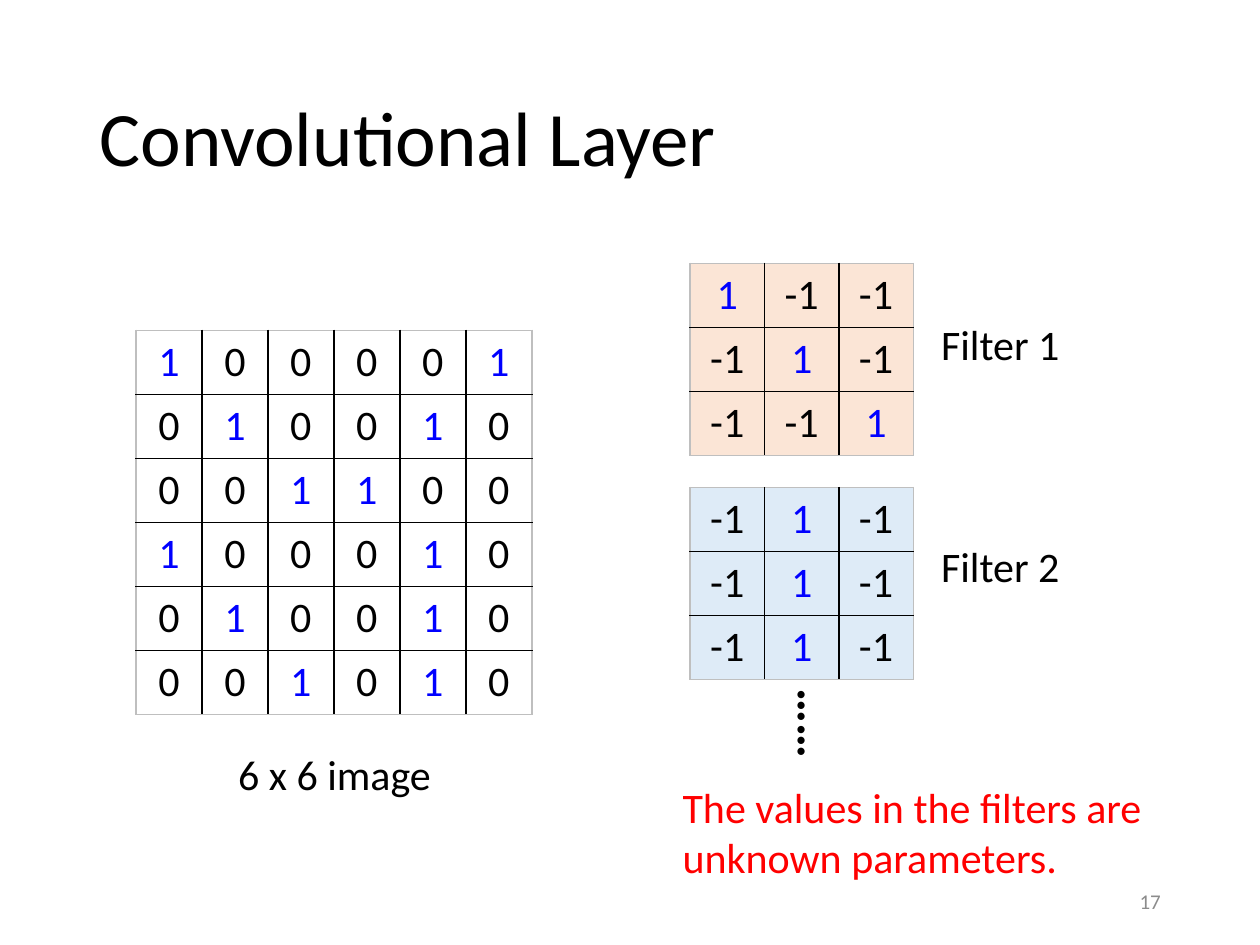
from lxml import etree
from pptx import Presentation
from pptx import util as u
from pptx.dml.color import RGBColor
from pptx.enum import text
from pptx.oxml.ns import qn

BLACK = RGBColor(0, 0, 0)
BLUE = RGBColor(0, 0, 0xFF)
RED = RGBColor(0xFF, 0, 0)
GREY = RGBColor(0x8C, 0x8C, 0x8C)
EDGE = RGBColor(0xBF, 0xBF, 0xBF)
PEACH = RGBColor(0xFB, 0xE5, 0xD6)
PALE_BLUE = RGBColor(0xDE, 0xEB, 0xF7)
LEFT, CENTER, RIGHT = text.PP_ALIGN.LEFT, text.PP_ALIGN.CENTER, text.PP_ALIGN.RIGHT


def write(frame, words, size=24, color=BLACK, align=CENTER, bold=False):
    paragraph = frame.paragraphs[0]
    paragraph.alignment = align
    run = paragraph.add_run()
    run.text = words
    run.font.name = "Calibri"
    run.font.size = u.Pt(size)
    run.font.bold = bold
    run.font.color.rgb = color


def add_matrix(left, top, column_width, values, fill=None):
    """Number grid: black inner lines, grey outer edge, ones in blue."""
    rows, columns = len(values), len(values[0])
    row_height = 1.29
    grid = slide.shapes.add_table(
        rows, columns, u.Cm(left), u.Cm(top),
        u.Cm(column_width * columns), u.Cm(row_height * rows)).table
    grid.first_row = grid.horz_banding = False
    for column in grid.columns:
        column.width = u.Cm(column_width)
    for r, row in enumerate(values):
        grid.rows[r].height = u.Cm(row_height)
        for c, value in enumerate(row):
            cell = grid.cell(r, c)
            write(cell.text_frame, str(value), color=BLUE if value == 1 else BLACK)
            outer = {"L": c == 0, "R": c == columns - 1, "T": r == 0, "B": r == rows - 1}
            for side, on_edge in outer.items():
                line = etree.SubElement(cell._tc.get_or_add_tcPr(), qn("a:ln" + side), w="12700")
                paint = etree.SubElement(line, qn("a:solidFill"))
                etree.SubElement(paint, qn("a:srgbClr"), val=str(EDGE if on_edge else BLACK))
            if fill is None:
                cell.fill.background()
            else:
                cell.fill.solid()
                cell.fill.fore_color.rgb = fill


prs = Presentation()
prs.slide_width, prs.slide_height = u.Cm(25.4), u.Cm(19.05)
slide = prs.slides.add_slide(prs.slide_layouts[5])

# Title
title = slide.shapes.title
title.left, title.top, title.width, title.height = u.Cm(1.75), u.Cm(1.01), u.Cm(21.9), u.Cm(3.68)
title.text_frame.vertical_anchor = text.MSO_ANCHOR.MIDDLE
write(title.text_frame, "Convolutional Layer", size=44, align=LEFT)
title.text_frame.paragraphs[0].line_spacing = 0.9

# Image matrix
image = [
    [1, 0, 0, 0, 0, 1],
    [0, 1, 0, 0, 1, 0],
    [0, 0, 1, 1, 0, 0],
    [1, 0, 0, 0, 1, 0],
    [0, 1, 0, 0, 1, 0],
    [0, 0, 1, 0, 1, 0],
]
add_matrix(2.74, 6.66, 1.33, image)

# Filter matrices
diagonal = [[1 if r == c else -1 for c in range(3)] for r in range(3)]
vertical = [[-1, 1, -1]] * 3
for top, values, fill in ((5.31, diagonal, PEACH), (9.83, vertical, PALE_BLUE)):
    add_matrix(13.91, top, 1.5, values, fill)

# Captions, ellipsis, remark and page number
captions = [
    (3.48, 14.96, 6.53, 1.27, "6 x 6 image", {}),
    (18.16, 6.3, 4.01, 1.27, "Filter 1", {}),
    (18.16, 10.77, 4.01, 1.27, "Filter 2", {}),
    (15.49, 13.89, 1.96, 1.45, "……", {"size": 28, "align": LEFT, "bold": True}),
    (13.51, 15.62, 9.83, 2.31, "The values in the filters are unknown parameters.",
     {"color": RED, "align": LEFT}),
    (17.93, 17.65, 5.72, 1.02, "17", {"size": 12, "color": GREY, "align": RIGHT}),
]
for left, top, width, height, words, style in captions:
    caption = slide.shapes.add_textbox(u.Cm(left), u.Cm(top), u.Cm(width), u.Cm(height))
    caption.text_frame.word_wrap = True
    if words == "……":
        caption.rotation = 90
    if words == "17":
        caption.text_frame.vertical_anchor = text.MSO_ANCHOR.MIDDLE
    write(caption.text_frame, words, **style)

prs.save("out.pptx")
